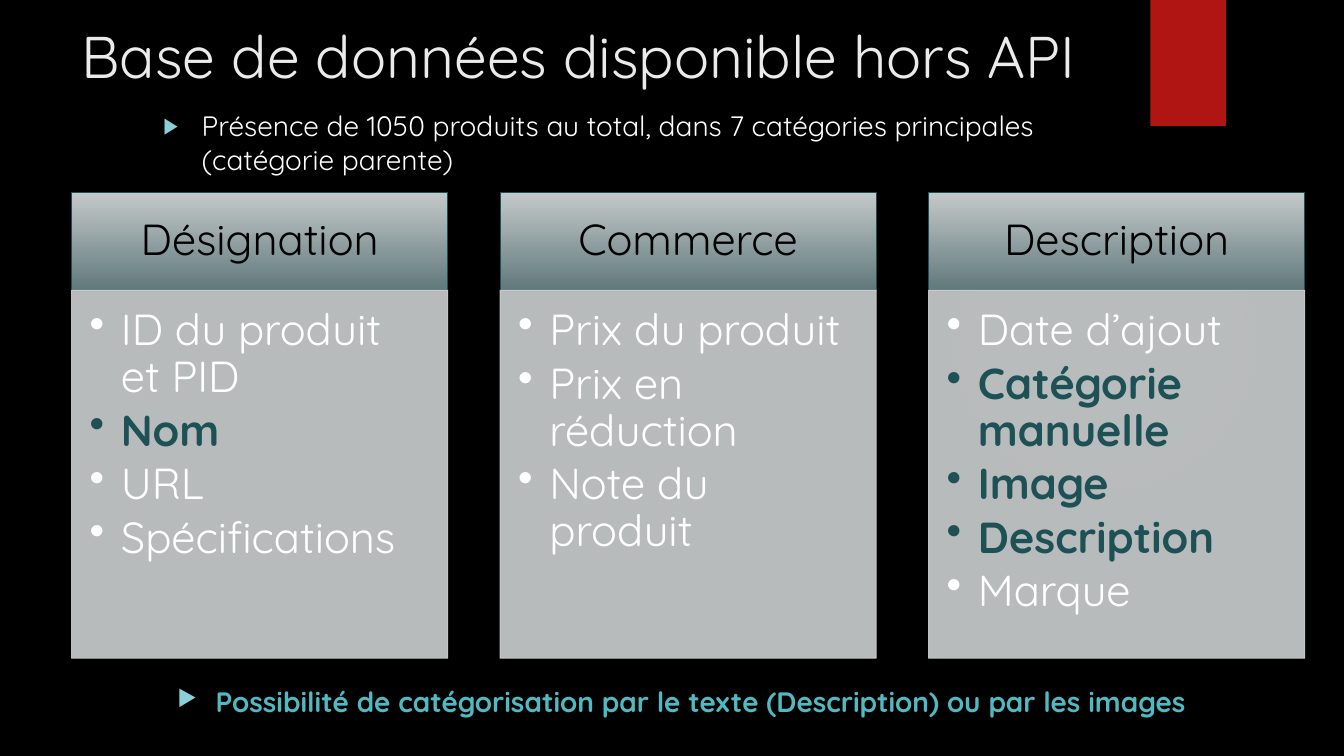
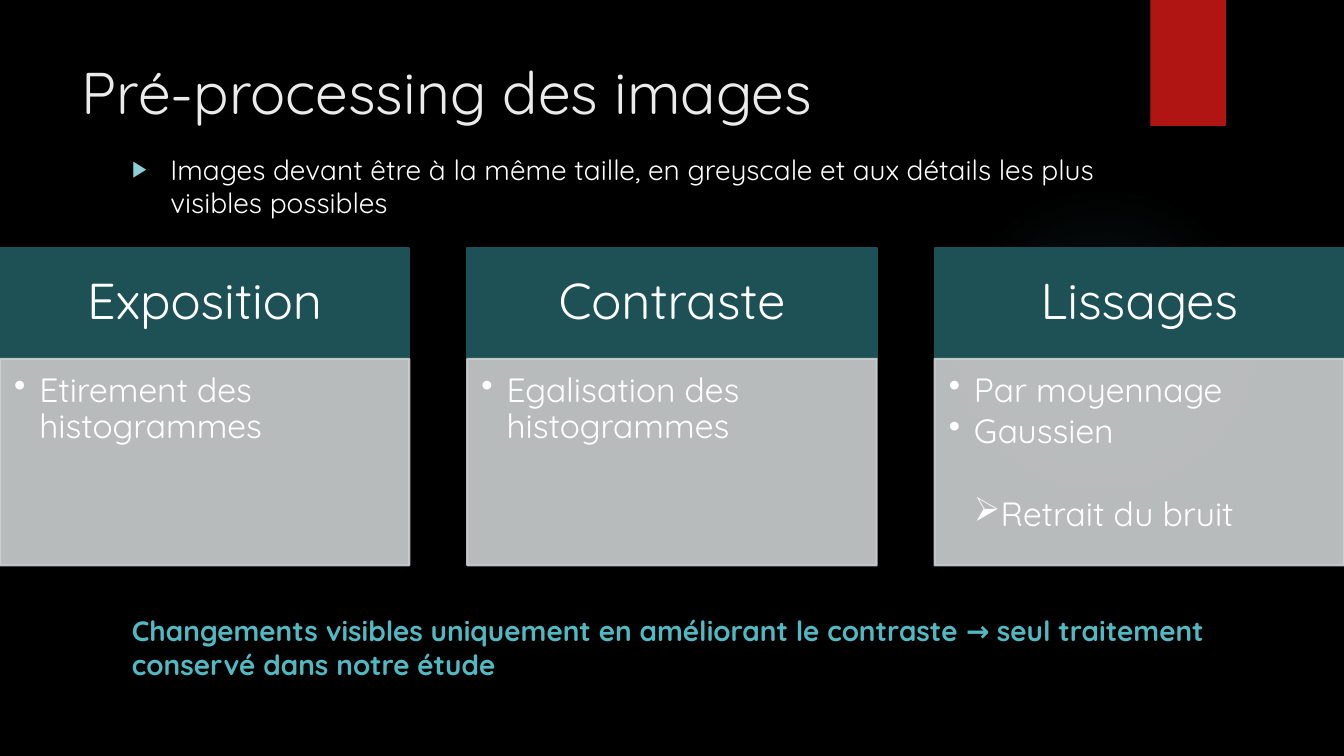
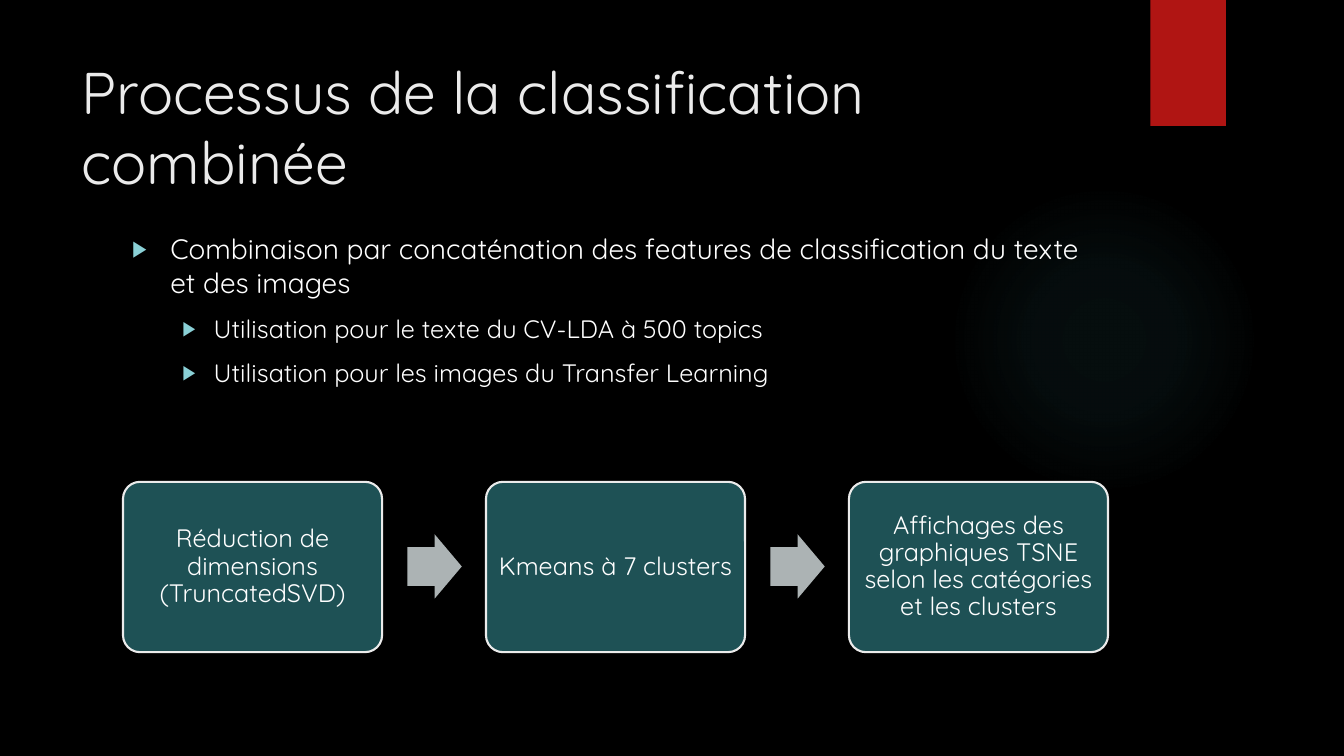
from lxml import etree
from pptx import Presentation
from pptx import util as u
from pptx.dml.color import RGBColor
from pptx.enum import shapes, text
from pptx.oxml import parse_xml
from pptx.oxml.ns import nsdecls, qn

Inches, Pt = u.Inches, u.Pt
colour = RGBColor.from_string
FONT = "Quicksand"
WHITE, BLACK, PALE = "FFFFFF", "000000", "EBEBEB"
TEAL, AQUA, SILVER = "1E5155", "50B9C1", "CDD0D1"


def paint(shape, fill, line=None, width=1.5, opacity=100):
    shape.shadow.inherit = False
    shape.fill.solid()
    shape.fill.fore_color.rgb = colour(fill)
    if line:
        shape.line.color.rgb = colour(line)
        shape.line.width = Pt(width)
    else:
        shape.line.fill.background()
    if opacity < 100:
        for tint in shape.element.spPr.iter(qn("a:srgbClr")):
            etree.SubElement(tint, qn("a:alpha")).set("val", str(opacity * 1000))


def style(para, size, hue=WHITE, bold=False, align=text.PP_ALIGN.LEFT, marker=None,
          left=0.38, hang=0.38, before=0, after=0, spacing=None):
    para.alignment = align
    para.space_before, para.space_after = Pt(before), Pt(after)
    para.line_spacing = spacing
    for span in para.runs:
        span.font.name, span.font.size, span.font.bold = FONT, Pt(size), bold
        span.font.color.rgb = colour(hue)
    if marker:
        props = para._p.get_or_add_pPr()
        props.set("marL", str(Inches(left)))
        props.set("indent", str(-Inches(hang)))
        if marker == "▶":
            tint = etree.SubElement(props, qn("a:buClr"))
            etree.SubElement(tint, qn("a:srgbClr")).set("val", "8AD0D6")
            etree.SubElement(props, qn("a:buSzPct")).set("val", "80000")
        etree.SubElement(props, qn("a:buChar")).set("char", marker)


deck = Presentation()
deck.slide_width, deck.slide_height = Inches(13.33), Inches(7.5)
background = deck.slide_master.background.fill
background.solid()
background.fore_color.rgb = colour(BLACK)
layout = deck.slide_layouts[1]

intros = [
    ("Base de données disponible hors API", 0.15, 10.59, 1.52, 1.03, 0.88,
     ["Présence de 1050 produits au total, dans 7 catégories principales (catégorie parente)"]),
    ("Pré-processing des images", 0.5, 10.29, 1.21, 1.46, 0.9,
     ["Images devant être à la même taille, en greyscale et aux détails les plus visibles possibles"]),
    ("Processus de la classification combinée", 0.5, 10.29, 1.21, 2.25, 2,
     ["Combinaison par concaténation des features de classification du texte et des images",
      "Utilisation pour le texte du CV-LDA à 500 topics",
      "Utilisation pour les images du Transfer Learning"]),
]
pages = []
for heading, title_top, title_width, left, top, height, lines in intros:
    page = deck.slides.add_slide(layout)
    pages.append(page)
    title, body = page.placeholders
    title.left, title.top = Inches(0.71), Inches(title_top)
    title.width, title.height = Inches(title_width), Inches(1.53)
    body.left, body.top = Inches(left), Inches(top)
    body.width, body.height = Inches(9.78), Inches(height)
    for box, words in ((title, heading), (body, "\n".join(lines))):
        box.text_frame.text = words
        box.text_frame.auto_size = text.MSO_AUTO_SIZE.NONE
        box.text_frame.vertical_anchor = text.MSO_ANCHOR.TOP
    style(title.text_frame.paragraphs[0], 42, PALE)
    first, *details = body.text_frame.paragraphs
    style(first, 20, marker="▶", before=10)
    for para in details:
        para.level = 1
        style(para, 18, marker="▶", left=0.81, hang=0.31, before=10)

data_page, image_page, process_page = pages

glow = data_page.shapes.add_shape(
    shapes.MSO_SHAPE.OVAL, Inches(9.41), Inches(1.83), Inches(3.08), Inches(3.08))
stops = "".join(
    f'<a:gs pos="{place * 1000}"><a:srgbClr val="{AQUA}"><a:alpha val="{alpha * 1000}"/></a:srgbClr></a:gs>'
    for place, alpha in ((0, 7), (36, 6), (69, 0), (100, 0)))
glow.shadow.inherit = False
glow.line.fill.background()
glow.element.spPr.insert(2, parse_xml(
    f'<a:gradFill {nsdecls("a")}><a:gsLst>{stops}</a:gsLst><a:path path="circle">'
    '<a:fillToRect l="50000" t="50000" r="50000" b="50000"/></a:path></a:gradFill>'))
ribbon = data_page.shapes.add_shape(
    shapes.MSO_SHAPE.RECTANGLE, Inches(11.41), 0, Inches(0.75), Inches(1.25))
paint(ribbon, "B01513")
for decoration in (glow, ribbon):
    layout.shapes.element.append(decoration.element)

key_terms = {"Nom", "Catégorie manuelle", "Image", "Description"}
boards = [
    (data_page, 0.71, 4.25, 3.73, 1.91, 0.97, 3.65, 31, 31, 0.18, 0.31, 0.75, [
        ("Désignation", ["ID du produit et PID", "Nom", "URL", "Spécifications"]),
        ("Commerce", ["Prix du produit", "Prix en réduction", "Note du produit"]),
        ("Description", ["Date d’ajout", "Catégorie manuelle", "Image", "Description", "Marque"]),
    ]),
    (image_page, 0, 4.635, 4.06, 2.46, 1.1, 2.05, 36, 24, 0.14, 0.25, 1.5, [
        ("Exposition", ["Etirement des histogrammes"]),
        ("Contraste", ["Egalisation des histogrammes"]),
        ("Lissages", ["Par moyennage", "Gaussien", "Retrait du bruit"]),
    ]),
]
for (page, start, pitch, width, top, head_height, list_height,
     head_size, item_size, inset, hang, border, cards) in boards:
    for column, (heading, items) in enumerate(cards):
        left = Inches(start + column * pitch)
        head = page.shapes.add_shape(
            shapes.MSO_SHAPE.RECTANGLE, left, Inches(top), Inches(width), Inches(head_height))
        paint(head, TEAL, TEAL, border)
        if page is data_page:
            head.fill.gradient()
            head.fill.gradient_angle = 270
            for stop, hue in zip(head.fill.gradient_stops, ("C4C9CA", "61797C")):
                stop.color.rgb = colour(hue)
        head.text_frame.text = heading
        style(head.text_frame.paragraphs[0], head_size, BLACK if page is data_page else WHITE,
              align=text.PP_ALIGN.CENTER, spacing=0.9)

        panel = page.shapes.add_shape(
            shapes.MSO_SHAPE.RECTANGLE, left, Inches(top + head_height),
            Inches(width), Inches(list_height))
        paint(panel, SILVER, SILVER, border, opacity=90)
        frame = panel.text_frame
        frame.vertical_anchor = text.MSO_ANCHOR.TOP
        frame.margin_left = frame.margin_top = Inches(inset)
        frame.margin_right = Inches(inset * 4 / 3)
        frame.text = "\n".join(items)
        for para in frame.paragraphs:
            key = para.text in key_terms
            nested = para.text == "Retrait du bruit"
            style(para, item_size, TEAL if key else WHITE, bold=key,
                  marker="➢" if nested else "•", left=hang * 2 if nested else hang,
                  hang=hang, before=30 if nested else 0, after=item_size * 0.15, spacing=0.9)

conclusions = [
    (data_page, 1.66, 6.74, 10.82, 0.6, "▶",
     "Possibilité de catégorisation par le texte (Description) ou par les images"),
    (image_page, 1.21, 6.04, 11.68, 0.77, None,
     "Changements visibles uniquement en améliorant le contraste → seul traitement conservé dans notre étude"),
]
for page, left, top, width, height, marker, words in conclusions:
    box = page.shapes.add_textbox(Inches(left), Inches(top), Inches(width), Inches(height))
    box.text_frame.word_wrap = True
    box.text_frame.text = words
    style(box.text_frame.paragraphs[0], 20, AQUA, bold=True, marker=marker)

steps = [
    "Réduction de dimensions (TruncatedSVD)",
    "Kmeans à 7 clusters",
    "Affichages des graphiques TSNE selon les catégories et les clusters",
]
for index, words in enumerate(steps):
    left = 1.22 + index * 3.6
    step = process_page.shapes.add_shape(
        shapes.MSO_SHAPE.ROUNDED_RECTANGLE, Inches(left), Inches(4.78), Inches(2.57), Inches(1.69))
    step.adjustments[0] = 0.1
    paint(step, TEAL, PALE)
    frame = step.text_frame
    frame.margin_left = frame.margin_right = Inches(0.07)
    frame.text = words
    style(frame.paragraphs[0], 18, align=text.PP_ALIGN.CENTER, spacing=0.9)
    if index < len(steps) - 1:
        arrow = process_page.shapes.add_shape(
            shapes.MSO_SHAPE.RIGHT_ARROW, Inches(left + 2.82), Inches(5.3), Inches(0.54), Inches(0.64))
        arrow.adjustments[0], arrow.adjustments[1] = 0.6, 0.5
        paint(arrow, "ACB3B4")

deck.save("out.pptx")
